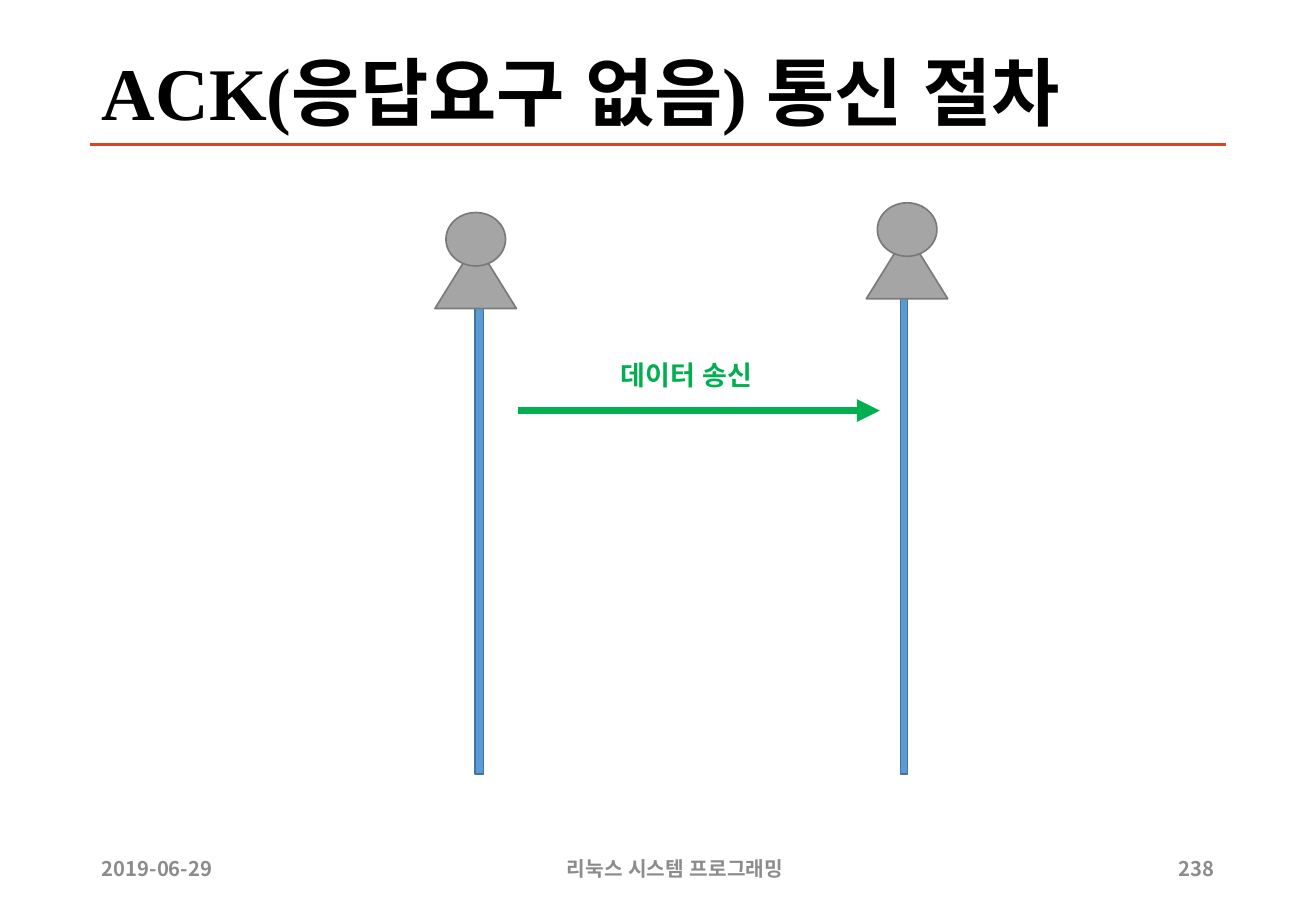
from lxml.etree import SubElement
from pptx import Presentation
from pptx.dml.color import RGBColor
from pptx.enum.lang import MSO_LANGUAGE_ID as Language
from pptx.enum.shapes import MSO_CONNECTOR as Connector, MSO_SHAPE as Shape
from pptx.enum.text import MSO_ANCHOR as Anchor, PP_ALIGN as Align
from pptx.oxml.ns import qn
from pptx.util import Inches, Pt

COLORS = {
    "title": "000000", "rule": "D24726", "footer": "8C8C8C", "arrow": "00B050",
    "lifeline": "5B9BD5", "lifeline_edge": "43739E",
    "person": "A5A5A5", "person_edge": "7A7A7A",
}
KOREAN_FONT = "Noto Sans CJK KR"
LEFT, RIGHT = 0.74, 10.09
RULE_Y, ARROW_Y = 1.19, 3.38
LIFELINE_END = 6.37

deck = Presentation()
deck.slide_width, deck.slide_height = Inches(10.83), Inches(7.5)
page = deck.slides.add_slide(deck.slide_layouts[6])


def add_text(text, area, size, font, color, align=Align.LEFT, wrap=True):
    box = page.shapes.add_textbox(*map(Inches, area))
    frame = box.text_frame
    frame.word_wrap = wrap
    frame.vertical_anchor = Anchor.MIDDLE
    para = frame.paragraphs[0]
    para.alignment = align
    span = para.add_run()
    span.text = text
    span.font.size, span.font.bold, span.font.name = Pt(size), True, font
    span.font.language_id = Language.KOREAN
    span.font.color.rgb = RGBColor.from_string(COLORS[color])
    SubElement(span.font._element, qn("a:ea")).set("typeface", KOREAN_FONT)
    return para


def add_figure(kind, area, color):
    figure = page.shapes.add_shape(kind, *map(Inches, area))
    figure.shadow.inherit = False
    figure.fill.solid()
    figure.fill.fore_color.rgb = RGBColor.from_string(COLORS[color])
    figure.line.color.rgb = RGBColor.from_string(COLORS[color + "_edge"])
    figure.line.width = Pt(1)


# Title
title = add_text("ACK(응답요구 없음) 통신 절차", (LEFT, 0.4, RIGHT - LEFT, 0.79),
                 44, "Times New Roman", "title")
title.line_spacing = 0.9

# Footer: date, course, page number
for text, left, width, align in (
    ("2019-06-29", LEFT, 1.27, Align.LEFT),
    ("리눅스 시스템 프로그래밍", 4.45, 2.21, Align.CENTER),
    ("238", 9.56, 0.53, Align.RIGHT),
):
    add_text(text, (left, 6.95, width, 0.4), 12, KOREAN_FONT, "footer", align)

# Sender and receiver: lifeline, body and head
for left, top, line_left, line_top, line_width in (
    (3.58, 1.75, 3.91, 2.45, 0.07),
    (7.13, 1.67, 7.41, 2.28, 0.06),
):
    add_figure(Shape.RECTANGLE,
               (line_left, line_top, line_width, LIFELINE_END - line_top), "lifeline")
    add_figure(Shape.ISOSCELES_TRIANGLE, (left, top + 0.25, 0.67, 0.54), "person")
    add_figure(Shape.OVAL, (left + 0.09, top, 0.49, 0.44), "person")

# Title rule and message arrow
for start, end, y, color, weight in (
    (LEFT, RIGHT, RULE_Y, "rule", 2),
    (4.26, 7.24, ARROW_Y, "arrow", 4.5),
):
    line = page.shapes.add_connector(
        Connector.STRAIGHT, Inches(start), Inches(y), Inches(end), Inches(y))
    line.line.color.rgb = RGBColor.from_string(COLORS[color])
    line.line.width = Pt(weight)
    if color == "arrow":
        SubElement(line.line._get_or_add_ln(), qn("a:tailEnd")).set("type", "triangle")
    SubElement(line._element.spPr, qn("a:effectLst"))

# Message label
add_text("데이터 송신", (5.01, 2.9, 1.37, 0.37), 16, "Calibri", "arrow", wrap=False)

deck.save("out.pptx")
